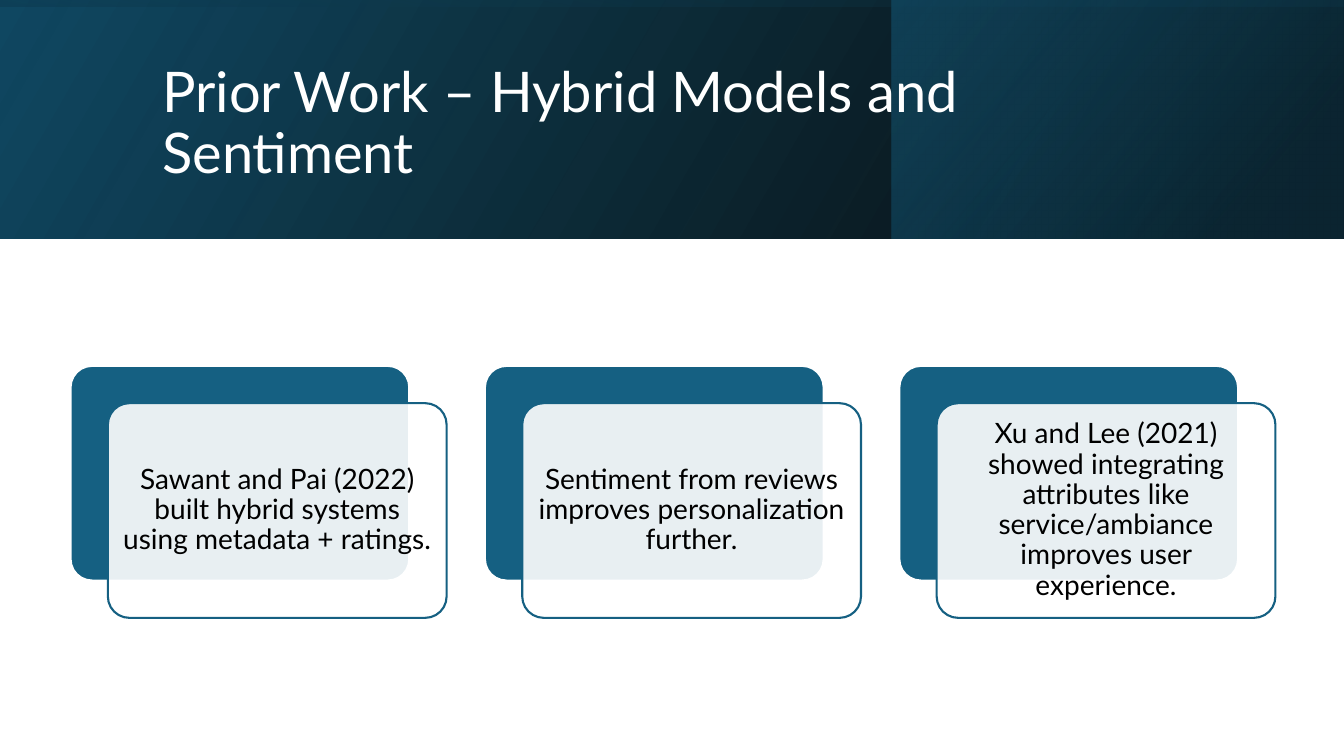
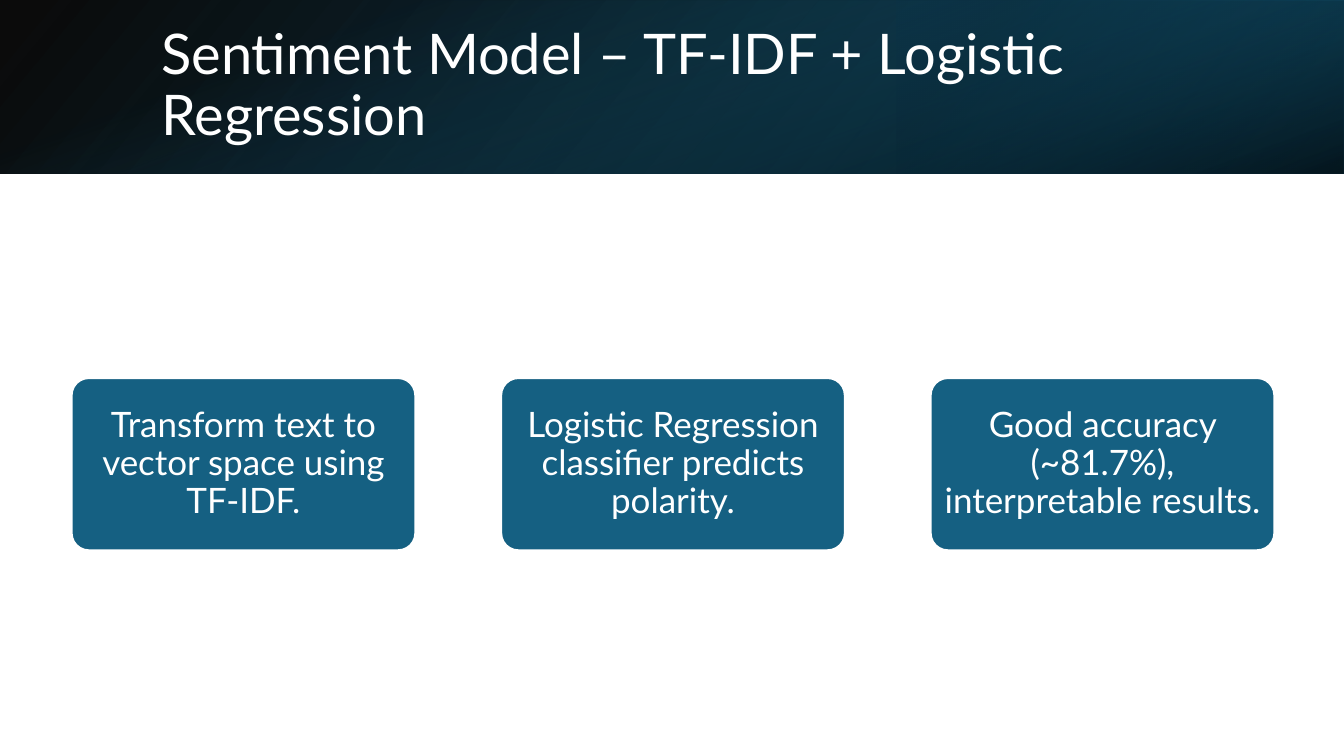
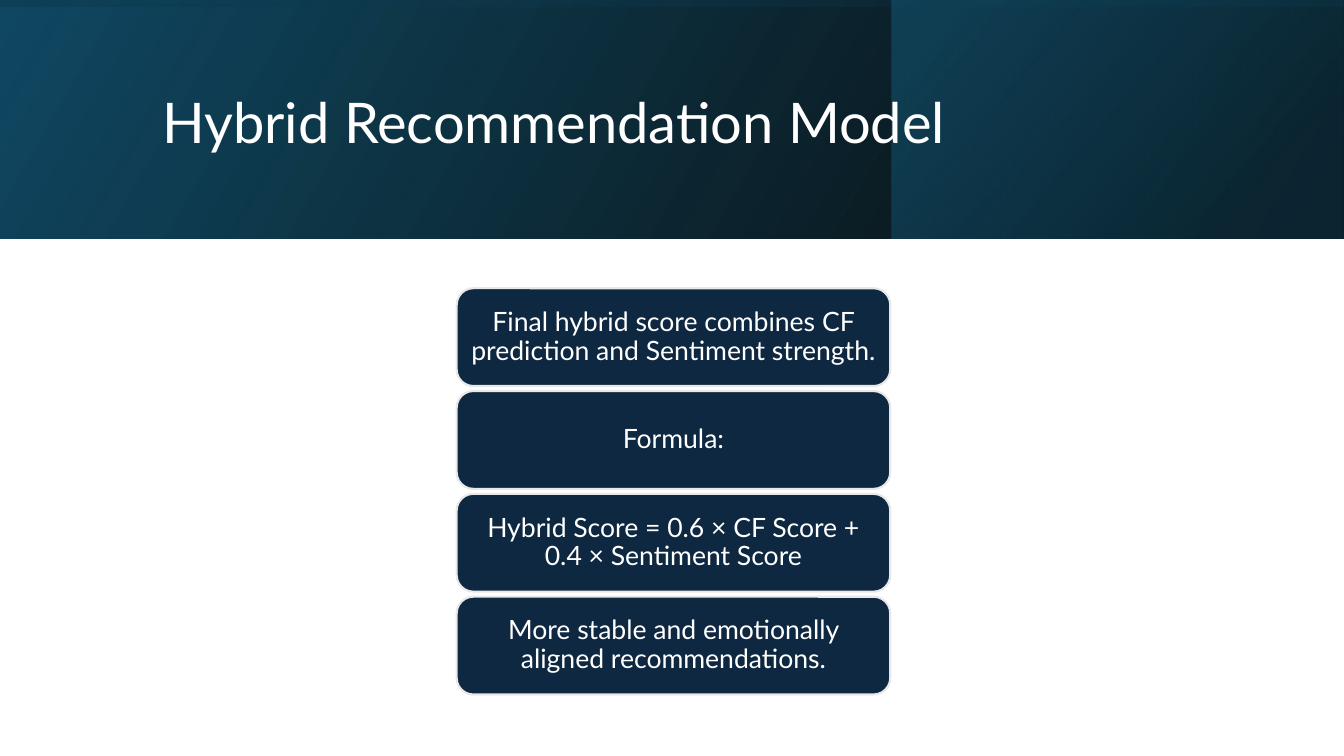
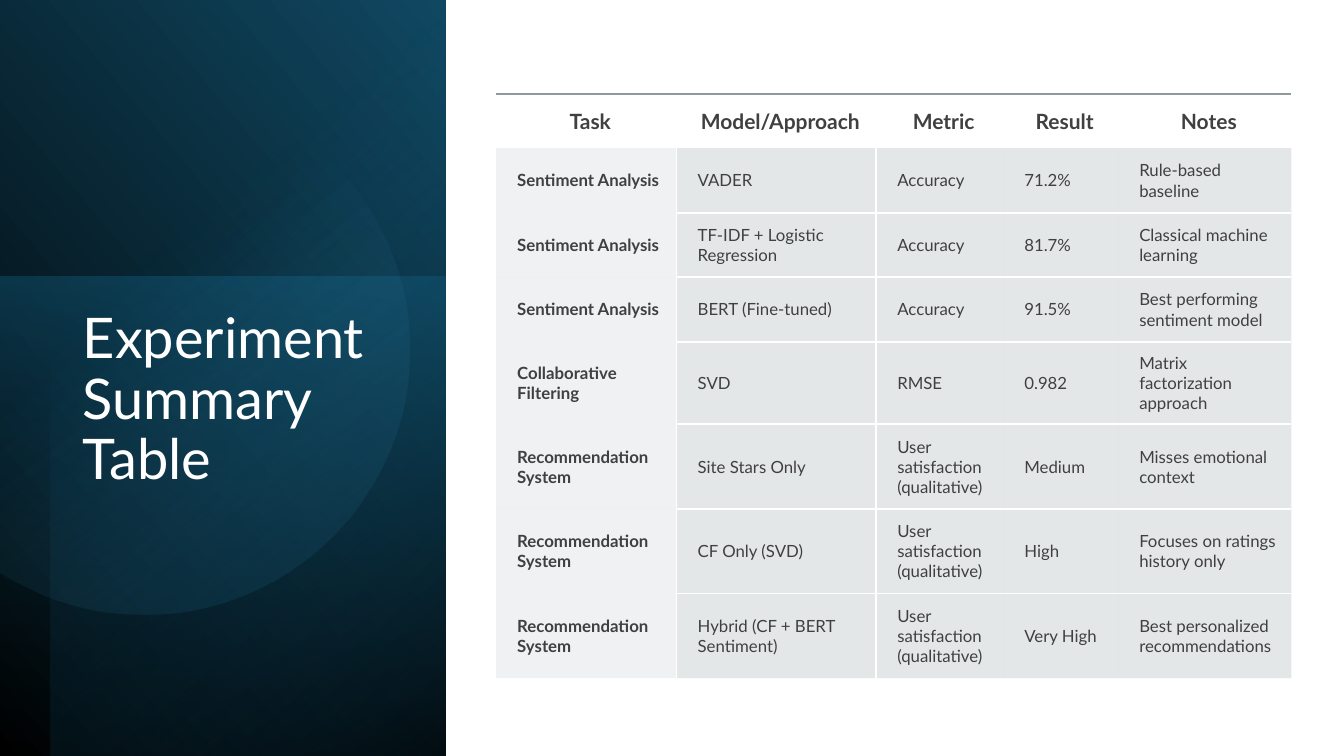
import math

import pptx
import pptx.util
import pptx.dml.color
import pptx.enum.shapes
import pptx.enum.text
import pptx.oxml
import pptx.oxml.ns
import lxml.etree

Inches = pptx.util.Inches
Pt = pptx.util.Pt
qn = pptx.oxml.ns.qn
SHAPE = pptx.enum.shapes.MSO_SHAPE
ALIGN = pptx.enum.text.PP_ALIGN
ANCHOR = pptx.enum.text.MSO_ANCHOR

FONT = "Lato"
BLACK, WHITE, GREY = "000000", "FFFFFF", "404040"
TEAL, DEEP, NIGHT, NAVY = "156082", "104862", "0B3041", "0E2841"
W, H = 13.33, 7.5


def colour(fmt, value, alpha=100):
    """Set a colour, with an opacity in percent."""
    fmt.rgb = pptx.dml.color.RGBColor.from_string(value)
    if alpha < 100:
        clr = fmt._xFill.find(qn("a:srgbClr"))
        lxml.etree.SubElement(clr, qn("a:alpha")).set("val", str(alpha * 1000))


def write(tf, text, size, value, bold=False, align=ALIGN.CENTER, spacing=0.9,
          anchor=ANCHOR.MIDDLE, insets=(0.1, 0.05, 0.1, 0.05)):
    """Put one formatted paragraph into a text frame."""
    tf.word_wrap = True
    tf.vertical_anchor = anchor
    tf.margin_left, tf.margin_top, tf.margin_right, tf.margin_bottom = map(Inches, insets)
    p = tf.paragraphs[0]
    p.alignment = align
    p.line_spacing = spacing
    r = p.add_run()
    r.text = text
    r.font.name, r.font.size, r.font.bold = FONT, Pt(size), bold
    colour(r.font.color, value)


prs = pptx.Presentation()
prs.slide_width, prs.slide_height = Inches(W), Inches(H)

# Gradient panels: box, rotation, flipped, clockwise angle, stops (position, colour, opacity)
tall_band = [
    ((0, 0, W, 2.37), 0, True, 330, [(0, BLACK, 96), (100, DEEP, 100)]),
    ((8.84, 0, 4.48, 2.37), 0, True, 320, [(19, NIGHT, 68), (100, TEAL, 48)]),
    ((5.48, -5.48, 2.37, W), 270, True, 350, [(23, DEEP, 16), (99, BLACK, 45)]),
]
low_band = [
    ((0, 0, W, 1.72), 0, True, 140, [(0, BLACK, 96), (100, DEEP, 100)]),
    ((8.89, 0, 4.44, 1.72), 180, True, 320, [(19, NIGHT, 68), (100, TEAL, 79)]),
    ((5.8, -5.8, 1.72, W), 90, False, 340, [(23, TEAL, 0), (99, BLACK, 74)]),
]
side_panel = [
    ((-1.55, 1.55, 7.52, 4.42), 90, True, 310, [(0, BLACK, 100), (100, DEEP, 100)]),
    ((-0.17, 2.91, 4.76, 4.42), 270, False, 190, [(0, TEAL, 50), (100, NIGHT, 0)]),
    ((-1.29, 1.79, 7.5, 3.92), 270, True, 220, [(0, BLACK, 59), (69, TEAL, 0)]),
    ("disc", 0, False, 52, [(39, "46B1E1", 0), (100, DEEP, 26)]),
]

# Title, title box, anchor, panels
pages = [
    ("Prior Work – Hybrid Models and Sentiment", (1.51, 0.38, 10.63, 1.72), ANCHOR.MIDDLE, tall_band),
    ("Sentiment Model – TF-IDF + Logistic Regression", (1.5, 0.38, 10.98, 0.96), ANCHOR.MIDDLE, low_band),
    ("Hybrid Recommendation Model", (1.51, 0.38, 10.63, 1.72), ANCHOR.MIDDLE, tall_band),
    ("Experiment Summary Table", (0.72, 3.03, 3.15, 3.36), ANCHOR.TOP, side_panel),
]

# Slides with panels and titles
for title, title_box, anchor, panels in pages:
    s = prs.slides.add_slide(prs.slide_layouts[5])
    for box, rotation, flipped, angle, stops in panels:
        if box == "disc":
            # Circle cut off by the left slide edge
            cx, cy, radius = 1.43, 3.47, 2.63
            cut = math.acos(-cx / radius)
            turns = [-cut + 2 * cut * i / 90 for i in range(91)]
            points = [(Inches(cx + radius * math.cos(t)), Inches(cy + radius * math.sin(t)))
                      for t in turns]
            fb = s.shapes.build_freeform(*points[0])
            fb.add_line_segments(points[1:], close=True)
            sp = fb.convert_to_shape()
        else:
            sp = s.shapes.add_shape(SHAPE.RECTANGLE, *map(Inches, box))
        sp.shadow.inherit = False
        sp.line.fill.background()
        sp.rotation = rotation
        if flipped:
            sp._element.spPr.find(qn("a:xfrm")).set("flipH", "1")
        sp.fill.gradient()
        sp.fill.gradient_angle = 360 - angle
        for stop, (position, value, alpha) in zip(sp.fill.gradient_stops, stops):
            stop.position = position / 100
            colour(stop.color, value, alpha)

    # Title above the panels
    sp = s.shapes.title
    sp.left, sp.top, sp.width, sp.height = map(Inches, title_box)
    sp.text_frame.auto_size = pptx.enum.text.MSO_AUTO_SIZE.NONE
    write(sp.text_frame, title, 40, WHITE, align=ALIGN.LEFT, anchor=anchor)
    s.shapes._spTree.append(sp._element)

# Rounded boxes: first box, step, corner, layers (offset, fill, opacity, line), text style
box_sets = [
    dict(first=(0.7, 3.63, 3.36, 2.13), step=(4.11, 0), corner=0.1,
         layers=[(0, TEAL, 100, WHITE), (0.37, WHITE, 90, TEAL)],
         size=20, ink=BLACK, insets=(0.08, 0.08, 0.08, 0.08),
         texts=["Sawant and Pai (2022) built hybrid systems using metadata + ratings.",
                "Sentiment from reviews improves personalization further.",
                "Xu and Lee (2021) showed integrating attributes like service/ambiance "
                "improves user experience."]),
    dict(first=(0.71, 3.75, 3.41, 1.71), step=(4.26, 0), corner=0.1,
         layers=[(0, TEAL, 100, WHITE)],
         size=25, ink=WHITE, insets=(0.05, 0.03, 0.05, 0.03),
         texts=["Transform text to vector space using TF-IDF.",
                "Logistic Regression classifier predicts polarity.",
                "Good accuracy (~81.7%), interpretable results."]),
    dict(first=(4.53, 2.86, 4.3, 0.97), step=(0, 1.02), corner=0.17,
         layers=[(0, NAVY, 100, "E8E8E8")],
         size=19, ink=WHITE, insets=(0.08, 0.04, 0.08, 0.04),
         texts=["Final hybrid score combines CF prediction and Sentiment strength.",
                "Formula:",
                "Hybrid Score = 0.6 × CF Score + 0.4 × Sentiment Score",
                "More stable and emotionally aligned recommendations."]),
]
for s, boxes in zip(prs.slides, box_sets):
    left, top, width, height = boxes["first"]
    dx, dy = boxes["step"]
    for i, text in enumerate(boxes["texts"]):
        for offset, fill, alpha, line in boxes["layers"]:
            sp = s.shapes.add_shape(
                SHAPE.ROUNDED_RECTANGLE, Inches(left + i * dx + offset),
                Inches(top + i * dy + offset), Inches(width), Inches(height))
            sp.adjustments[0] = boxes["corner"]
            sp.shadow.inherit = False
            sp.fill.solid()
            colour(sp.fill.fore_color, fill, alpha)
            colour(sp.line.color, line)
            sp.line.width = Pt(1.5)
        # The front layer carries the text
        write(sp.text_frame, text, boxes["size"], boxes["ink"], insets=boxes["insets"])

# Results table
satisfaction = "User satisfaction (qualitative)"
rows = [
    ("Task", "Model/Approach", "Metric", "Result", "Notes"),
    ("Sentiment Analysis", "VADER", "Accuracy", "71.2%", "Rule-based baseline"),
    ("Sentiment Analysis", "TF-IDF + Logistic Regression", "Accuracy", "81.7%",
     "Classical machine learning"),
    ("Sentiment Analysis", "BERT (Fine-tuned)", "Accuracy", "91.5%",
     "Best performing sentiment model"),
    ("Collaborative Filtering", "SVD", "RMSE", "0.982", "Matrix factorization approach"),
    ("Recommendation System", "Site Stars Only", satisfaction, "Medium",
     "Misses emotional context"),
    ("Recommendation System", "CF Only (SVD)", satisfaction, "High",
     "Focuses on ratings history only"),
    ("Recommendation System", "Hybrid (CF + BERT Sentiment)", satisfaction, "Very High",
     "Best personalized recommendations"),
]
col_widths = [1.79, 1.98, 1.26, 1.14, 1.72]
row_heights = [0.54] + [0.64] * 4 + [0.84] * 3
frame = prs.slides[3].shapes.add_table(
    len(rows), len(col_widths), Inches(4.92), Inches(0.93),
    Inches(sum(col_widths)), Inches(sum(row_heights)))
table = frame.table
table.horz_banding = False
# Plain style without grid
table._tbl.tblPr.find(qn("a:tableStyleId")).text = "{2D5ABB26-0587-4C30-8999-92F81FD0307C}"
for column, width in zip(table.columns, col_widths):
    column.width = Inches(width)
for row, height in zip(table.rows, row_heights):
    row.height = Inches(height)

for i, row in enumerate(rows):
    for j, text in enumerate(row):
        cell = table.cell(i, j)
        header, label = i == 0, j == 0
        pad = 0.13 if header else 0.11
        write(cell.text_frame, text, 15 if header else 12, GREY, bold=header or label,
              align=ALIGN.CENTER if header else ALIGN.LEFT, spacing=1.0)
        cell.vertical_anchor = ANCHOR.MIDDLE
        cell.margin_left = Inches(0.21)
        cell.margin_top = cell.margin_right = cell.margin_bottom = Inches(pad)

        # Borders, in schema order: left, right, top, bottom
        if header:
            borders = [("lnT", "8F9A9D", 60)]
        elif label:
            borders = [("lnR", WHITE, 100)]
        else:
            borders = [("lnL", WHITE, 100)] if j == 1 else []
            if i > 1:
                borders.append(("lnT", WHITE, 100))
            if i < len(rows) - 1:
                borders.append(("lnB", WHITE, 100))
        for side, value, alpha in borders:
            ln = lxml.etree.SubElement(cell._tc.get_or_add_tcPr(), qn("a:" + side))
            ln.set("w", str(Pt(1.5)))
            solid = lxml.etree.SubElement(ln, qn("a:solidFill"))
            clr = lxml.etree.SubElement(solid, qn("a:srgbClr"))
            clr.set("val", value)
            lxml.etree.SubElement(clr, qn("a:alpha")).set("val", str(alpha * 1000))

        if header:
            cell.fill.background()
        else:
            cell.fill.solid()
            colour(cell.fill.fore_color, "B4BCBE", 20 if label else 35)

prs.save("out.pptx")
